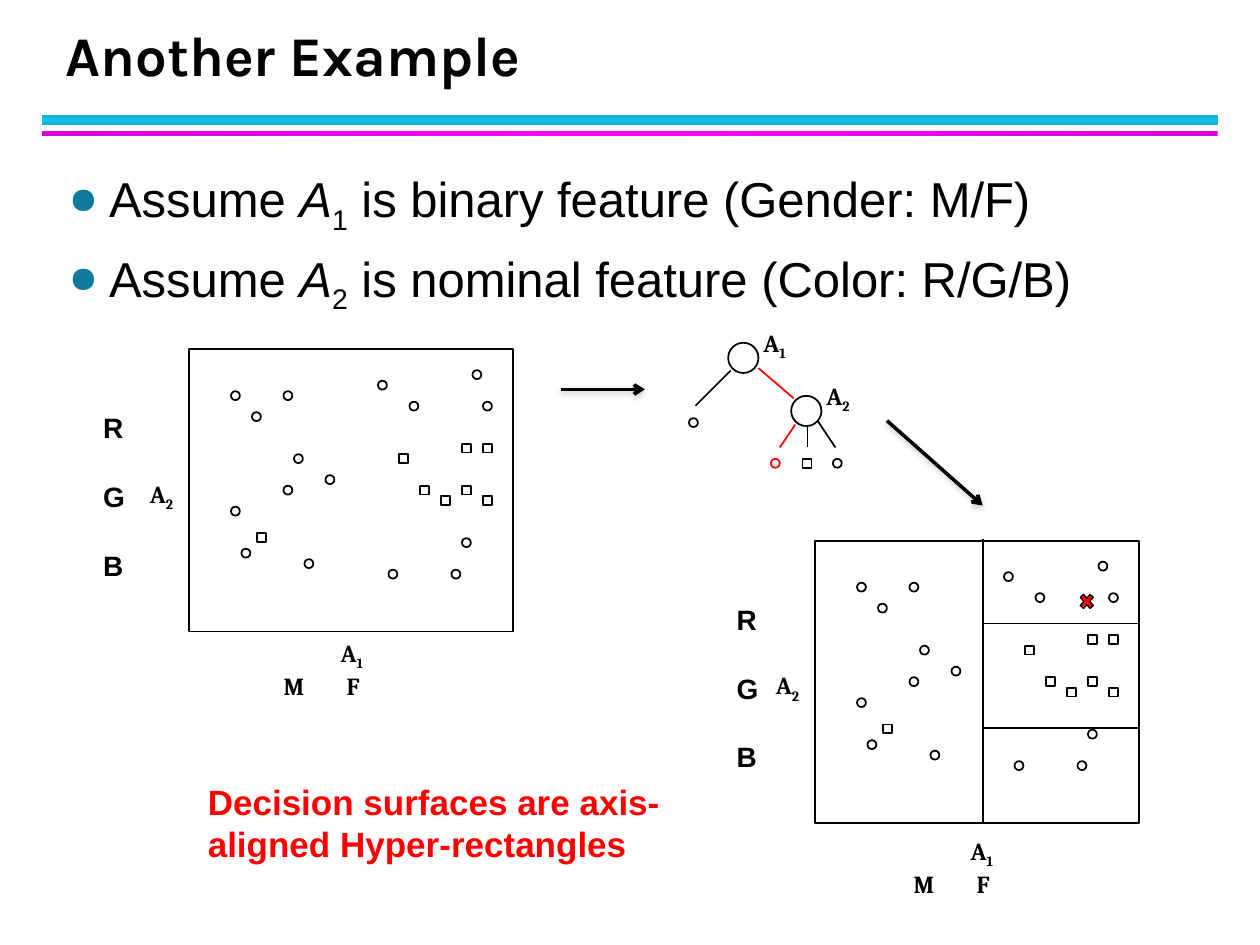
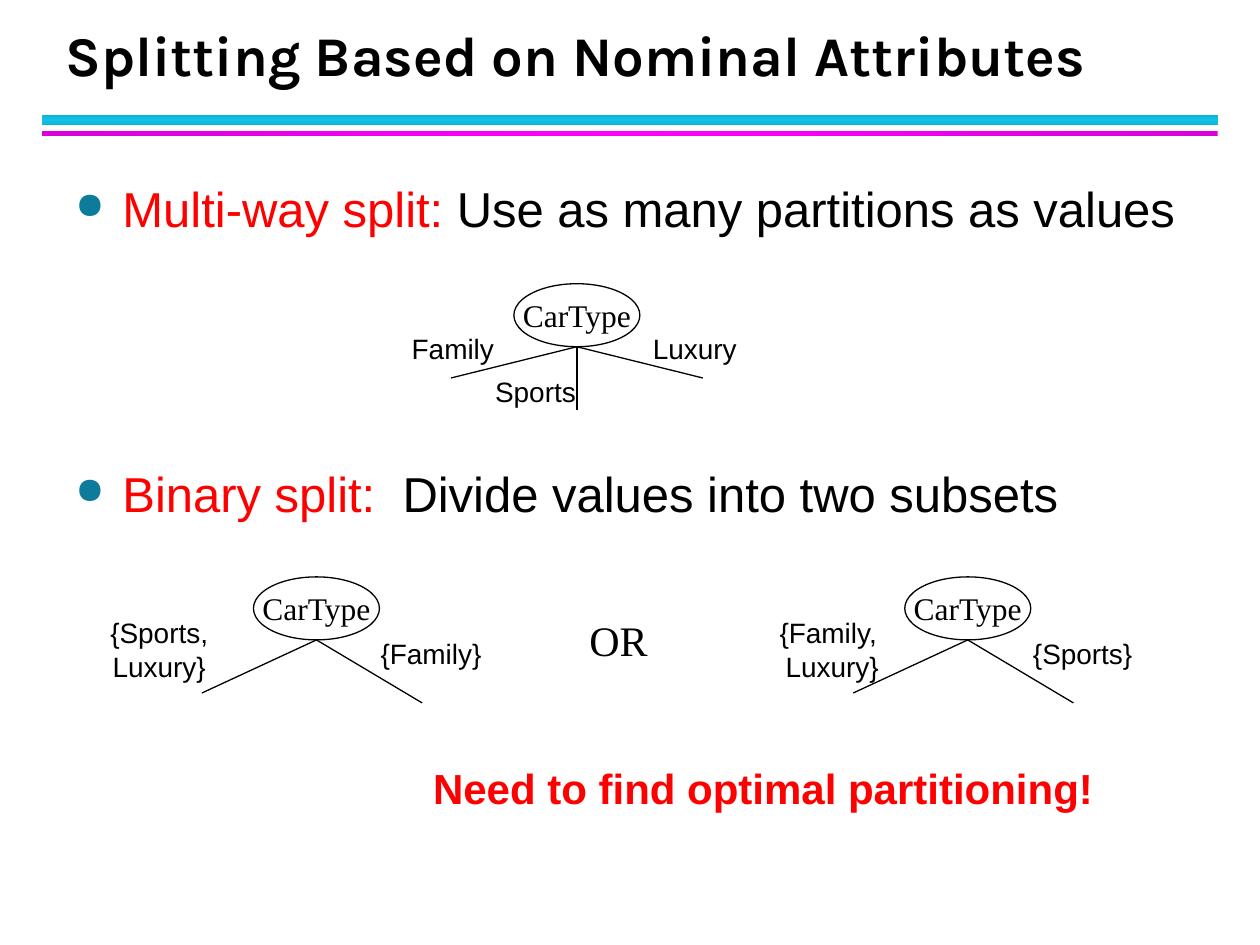
"""Build two slides on decision-tree splits over nominal features."""
from copy import deepcopy

from lxml import etree
from pptx import Presentation
from pptx.dml.color import RGBColor
from pptx.enum.shapes import MSO_CONNECTOR, MSO_SHAPE, MSO_SHAPE_TYPE
from pptx.enum.text import MSO_ANCHOR, MSO_AUTO_SIZE, PP_ALIGN
from pptx.oxml.ns import qn
from pptx.util import Cm, Pt

OVAL, RECT, CROSS = MSO_SHAPE.OVAL, MSO_SHAPE.RECTANGLE, MSO_SHAPE.MATH_MULTIPLY
STRAIGHT, TEXT_BOX = MSO_CONNECTOR.STRAIGHT, MSO_SHAPE_TYPE.TEXT_BOX
LEFT, CENTER = PP_ALIGN.LEFT, PP_ALIGN.CENTER
TOP, MIDDLE, BOTTOM = MSO_ANCHOR.TOP, MSO_ANCHOR.MIDDLE, MSO_ANCHOR.BOTTOM
GROW = MSO_AUTO_SIZE.SHAPE_TO_FIT_TEXT
LINE, TEXT = "line", "text"
HEAD, BODY, MATH, SERIF = "Karla", "Arial", "Cambria", "Times New Roman"
COLORS = {
    "black": "000000", "white": "FFFFFF", "red": "FF0000", "bullet": "0C7B9C",
    "cyan_edge": "10B0D3", "cyan": "12C2E9",
    "magenta_edge": "DA00DA", "magenta": "FF00FF", "shadow": "808080",
}
RGB = {name: RGBColor.from_string(value) for name, value in COLORS.items()}


def draw(s, kind, box, line="black", width=1, fill="white"):
    """Add a text box, a line (from x, y to x, y) or a preset shape."""
    lengths = [Cm(v) for v in box]
    if kind == TEXT:
        return s.shapes.add_textbox(*lengths)
    if kind == LINE:
        sp = s.shapes.add_connector(STRAIGHT, *lengths)
        etree.SubElement(sp._element.spPr, qn("a:effectLst"))
    else:
        sp = s.shapes.add_shape(kind, *lengths)
        sp.shadow.inherit = False
        sp.fill.solid()
        sp.fill.fore_color.rgb = RGB[fill]
    sp.line.color.rgb = RGB[line]
    sp.line.width = Pt(width)
    return sp


def write(sp, paras, size, font=BODY, color="black", bold=False,
          align=LEFT, anchor=TOP, wrap=False):
    """Fill a shape with paragraphs of (text, style) runs."""
    tf = sp.text_frame
    tf.word_wrap = wrap
    tf.vertical_anchor = anchor
    if not wrap and sp.shape_type == TEXT_BOX:
        tf.auto_size = GROW
    for i, runs in enumerate(paras):
        p = tf.add_paragraph() if i else tf.paragraphs[0]
        p.alignment = align
        for text, style in runs:
            for n, part in enumerate(text.split("\n")):
                if n:
                    p.add_line_break()
                r = p.add_run()
                r.text = part
                r.font.size = Pt(size)
                r.font.name = font
                r.font.bold = bold
                r.font.italic = style == "italic"
                r.font.color.rgb = RGB[style if style in RGB else color]
                if style == "sub":
                    r.font._element.set("baseline", "-25000")
    return tf


prs = Presentation()
prs.slide_width, prs.slide_height = Cm(25.4), Cm(19.05)

bands = [
    (2.32, 0.21, 90, ("cyan_edge", "cyan", "cyan_edge")),
    (2.64, 0.1, 0, ("magenta_edge", "magenta", "magenta_edge")),
]
pages = [
    ("Another Example", (1.14, 3.28, 23.11, 14.4), 0.81, 3.2, [
        [("Assume ", ""), ("A", "italic"), ("1", "sub"),
         (" is binary feature (Gender: M/F)", "")],
        [("Assume ", ""), ("A", "italic"), ("2", "sub"),
         (" is nominal feature (Color: R/G/B)", "")],
    ]),
    ("Splitting Based on Nominal Attributes", (1.27, 3.48, 23.29, 10.36), 0.95, 125, [
        [("Multi-way split:", "red"), (" Use as many partitions as values", "")],
        [("Binary split:", "red"), ("  Divide values into two subsets", "")],
    ]),
]
for title, body_box, indent, gap, bullets in pages:
    s = prs.slides.add_slide(prs.slide_layouts[6])
    for y, h, angle, names in bands:
        sp = draw(s, RECT, (0.85, y, 23.7, h))
        sp.line.fill.background()
        sp.fill.gradient()
        sp.fill.gradient_angle = angle
        stops = sp._element.spPr.find(qn("a:gradFill")).find(qn("a:gsLst"))
        stops.append(deepcopy(stops[0]))
        for stop, name, pos in zip(sp.fill.gradient_stops, names, (0, 0.5, 1)):
            stop.color.rgb = RGB[name]
            stop.position = pos

    tf = write(draw(s, TEXT, (1.07, 0.43, 23.93, 1.47)), [[(title, "")]], 32,
               HEAD, bold=True, anchor=BOTTOM, wrap=True)
    tf.paragraphs[0].line_spacing = Pt(36)

    tf = write(draw(s, TEXT, body_box), bullets, 28, wrap=True)
    for i, p in enumerate(tf.paragraphs):
        pPr = p._p.get_or_add_pPr()
        pPr.set("marL", str(Cm(indent)))
        pPr.set("indent", str(-Cm(indent)))
        clr = etree.SubElement(pPr, qn("a:buClr"))
        etree.SubElement(clr, qn("a:srgbClr"), val=COLORS["bullet"])
        etree.SubElement(pPr, qn("a:buSzPct"), val="75000")
        etree.SubElement(pPr, qn("a:buChar"), char="●")
        p.space_after = Pt(4)
        if i:
            p.space_before = Pt(gap)

example, splitting = prs.slides

s = example
branches = [
    (14.73, 7.47, 14.02, 8.18, "black"), (15.29, 7.42, 16, 8.03, "red"),
    (16.03, 8.56, 15.72, 9.02, "red"), (16.28, 8.59, 16.28, 9.02, "black"),
    (16.48, 8.48, 16.84, 9.02, "black"),
]
for *ends, color in branches:
    draw(s, LINE, ends, color)

dot = 0.18
leaves = [(OVAL, 13.89, 8.43, "black"), (OVAL, 15.54, 9.25, "red"),
          (OVAL, 16.79, 9.25, "black"), (RECT, 16.18, 9.25, "black")]
for kind, x, y, color in leaves:
    draw(s, kind, (x, y, dot, dot), color)

for x, y, index in [(14.68, 6.91, "1"), (15.95, 7.98, "2")]:
    draw(s, OVAL, (x, y, 0.61, 0.61))
    write(draw(s, TEXT, (x + 0.46, y - 0.42, 1.04, 0.84)),
          [[("A", ""), (index, "sub")]], 14, MATH, bold=True)

step = 2.54 / 12
samples = {
    OVAL: [(4, 4), (6, 6), (9, 4), (28, 5), (27, 2), (5, 19), (4, 15), (9, 13),
           (10, 10), (21, 5), (19, 21), (26, 18), (25, 21), (13, 12), (11, 20),
           (18, 3)],
    RECT: [(26, 9), (28, 9), (6.5, 17.5), (22, 13), (24, 14), (28, 14), (20, 10),
           (26, 13)],
}
panels = [(3.81, 7.04, -1.98, 1.47, 5.69), (16.43, 10.9, -1.83, 1.55, 5.82)]
for x, y, values_dx, axis_dx, axis_dy in panels:
    draw(s, RECT, (x, y, 6.53, 5.69))
    for kind, points in samples.items():
        for col, row in points:
            draw(s, kind, (x + col * step, y + row * step, dot, dot))
    write(draw(s, TEXT, (x - 1.04, y + 2.49, 1.04, 0.84)),
          [[("A", ""), ("2", "sub")]], 14, MATH, bold=True)
    tf = write(draw(s, TEXT, (x + values_dx, y + 1.12, 0.94, 3.68)),
               [[(v, "")] for v in "RGB"], 16, bold=True)
    for p in tf.paragraphs[1:]:
        p.space_before = Pt(20)
    tf = write(draw(s, TEXT, (x + axis_dx, y + axis_dy, 3.63, 1.45)),
               [[("A", ""), ("1", "sub")], [("M\tF", "")]], 14, MATH,
               bold=True, align=CENTER, wrap=True)
    p = tf.paragraphs[1]
    p.alignment = LEFT
    pPr = p._p.get_or_add_pPr()
    pPr.set("marL", str(Cm(0.19)))
    pPr.set("indent", "0")
    tabs = etree.SubElement(pPr, qn("a:tabLst"))
    etree.SubElement(tabs, qn("a:tab"), pos=str(Cm(2.67)), algn="l")

for ends in [(19.81, 10.87, 19.81, 16.59), (19.81, 12.57, 22.99, 12.57),
             (19.81, 14.68, 22.99, 14.68)]:
    draw(s, LINE, ends)
draw(s, CROSS, (21.72, 11.91, 0.38, 0.43), width=0.75, fill="red")

write(draw(s, TEXT, (3.94, 15.6, 10.44, 1.96)),
      [[("Decision surfaces are axis-aligned Hyper-rectangles", "")]], 20,
      color="red", bold=True, wrap=True)

for ends in [(11.3, 7.85, 13, 7.85), (17.88, 8.48, 19.81, 10.19)]:
    sp = draw(s, LINE, ends, width=2)
    etree.SubElement(sp.line._get_or_add_ln(), qn("a:tailEnd"), type="arrow")
    effects = sp._element.spPr.find(qn("a:effectLst"))
    shadow = etree.SubElement(effects, qn("a:outerShdw"), blurRad=str(Pt(3.1)),
                              dist=str(Pt(1.6)), dir="5400000", rotWithShape="0")
    clr = etree.SubElement(shadow, qn("a:srgbClr"), val=COLORS["shadow"])
    etree.SubElement(clr, qn("a:alpha"), val="38000")

s = splitting
binary_ends = [(-2.31, 1.07), (2.13, 1.27)]
trees = [
    (10.36, 5.72, [(-2.54, 0.63), (0, 1.27), (2.54, 0.63)],
     [("Family", 8.05, 6.55, 2.16, 0.94), ("Sports", 9.73, 7.42, 2.13, 0.94),
      ("Luxury", 12.9, 6.55, 2.21, 0.94)]),
    (18.24, 11.63, binary_ends,
     [("{Family, \nLuxury}", 15.44, 12.27, 2.67, 1.63),
      ("{Sports}", 20.57, 12.7, 2.51, 0.94)]),
    (5.11, 11.63, binary_ends,
     [("{Sports, Luxury}", 1.9, 12.27, 2.62, 1.63),
      ("{Family}", 7.42, 12.7, 2.54, 0.94)]),
]
for x, y, ends, labels in trees:
    write(draw(s, OVAL, (x, y, 2.54, 1.27), width=0.75), [[("CarType", "")]], 18,
          SERIF, align=CENTER, anchor=MIDDLE)
    root_x, root_y = x + 1.27, y + 1.27
    for dx, dy in ends:
        draw(s, LINE, (root_x, root_y, root_x + dx, root_y + dy), width=0.75)
    for label, *box in labels:
        write(draw(s, TEXT, box), [[(label, "")]], 16, align=CENTER,
              anchor=MIDDLE, wrap=label == "{Sports, Luxury}")

write(draw(s, TEXT, (11.63, 12.27, 1.68, 1.27)), [[("OR", "")]], 24, SERIF,
      align=CENTER, anchor=MIDDLE)
write(draw(s, TEXT, (8.48, 15.24, 13.94, 1.3)),
      [[("Need to find optimal partitioning!", "")]], 24, color="red", bold=True)

prs.save("out.pptx")
